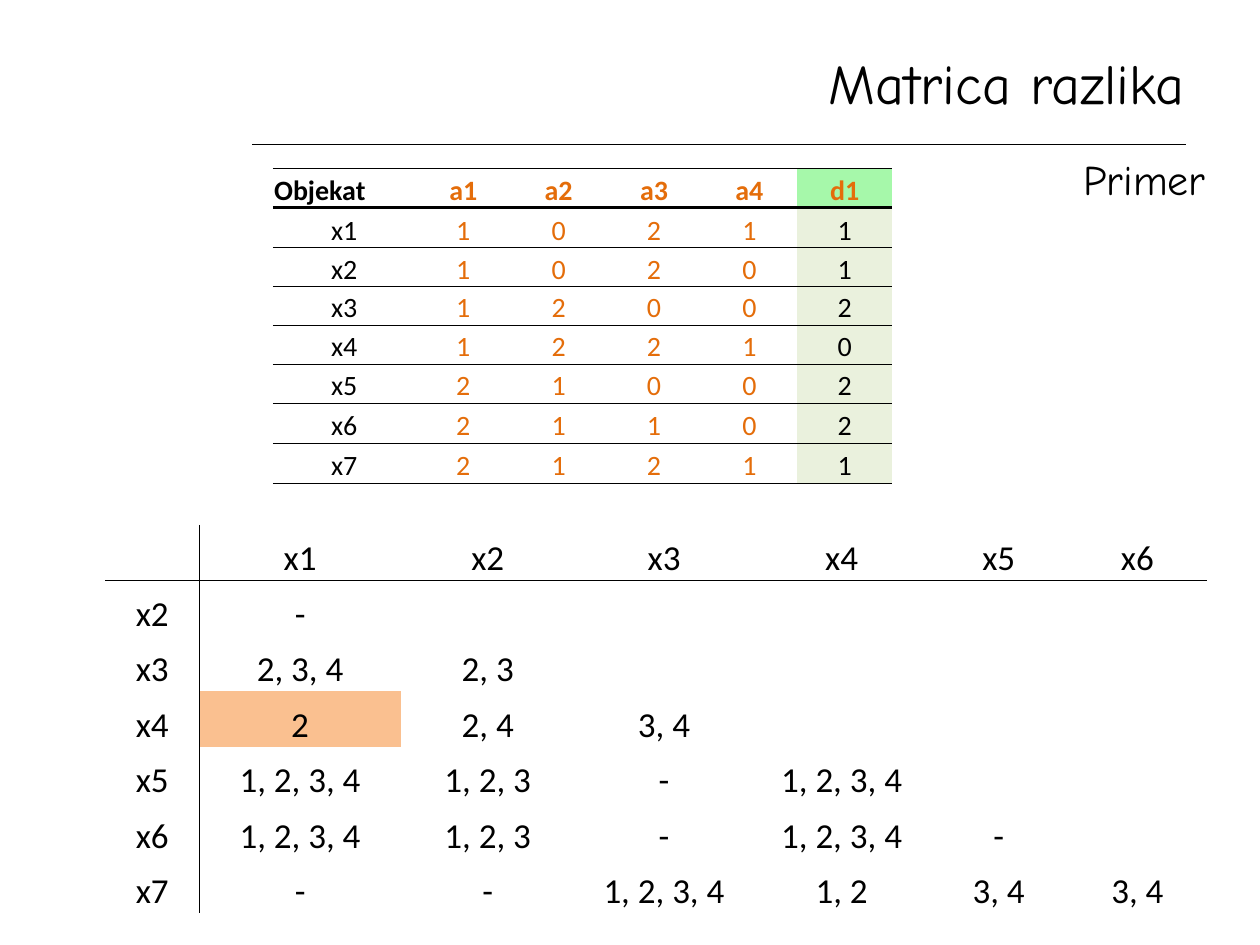
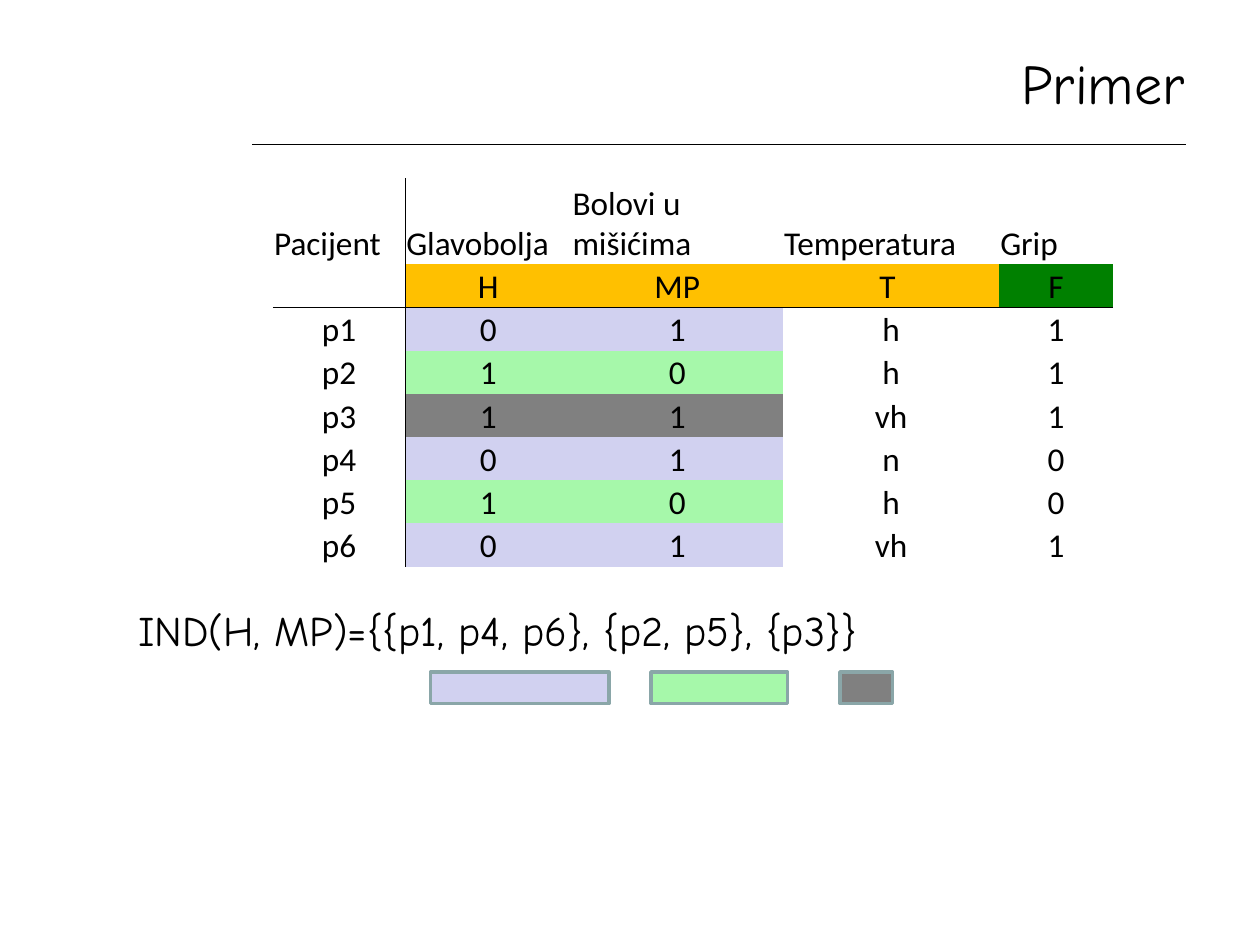
from dataclasses import dataclass

from lxml.etree import SubElement
from pptx import Presentation
from pptx.dml.color import RGBColor
from pptx.enum.shapes import MSO_CONNECTOR, MSO_SHAPE
from pptx.enum.text import MSO_ANCHOR, PP_ALIGN
from pptx.oxml.ns import qn
from pptx.util import Pt

OBJECTS = [
    ["Objekat", "a1", "a2", "a3", "a4", "d1"],
    ["x1", "1", "0", "2", "1", "1"],
    ["x2", "1", "0", "2", "0", "1"],
    ["x3", "1", "2", "0", "0", "2"],
    ["x4", "1", "2", "2", "1", "0"],
    ["x5", "2", "1", "0", "0", "2"],
    ["x6", "2", "1", "1", "0", "2"],
    ["x7", "2", "1", "2", "1", "1"],
]
DIFFERENCES = [
    ["", "x1", "x2", "x3", "x4", "x5", "x6"],
    ["x2", "-", "", "", "", "", ""],
    ["x3", "2, 3, 4", "2, 3", "", "", "", ""],
    ["x4", "2", "2, 4", "3, 4", "", "", ""],
    ["x5", "1, 2, 3, 4", "1, 2, 3", "-", "1, 2, 3, 4", "", ""],
    ["x6", "1, 2, 3, 4", "1, 2, 3", "-", "1, 2, 3, 4", "-", ""],
    ["x7", "-", "-", "1, 2, 3, 4", "1, 2", "3, 4", "3, 4"],
]
HIGHLIGHTED_DIFFERENCE = (3, 1)
PATIENTS = [
    ["Pacijent", "Glavobolja", "Bolovi u mišićima", "Temperatura", "Grip"],
    ["", "H", "MP", "T ", "F"],
    ["p1", "0", "1", "h", "1"],
    ["p2", "1", "0", "h", "1"],
    ["p3", "1", "1", "vh", "1"],
    ["p4", "0", "1", "n", "0"],
    ["p5", "1", "0", "h", "0"],
    ["p6", "0", "1", "vh", "1"],
]
INDISCERNIBILITY = "IND(H, MP)={{p1, p4, p6}, {p2, p5}, {p3}}"


@dataclass(frozen=True)
class Theme:
    hand: str = "Comic Neue"
    plain: str = "Calibri"
    ink: str = "000000"
    attribute: str = "E46D0A"
    decision_head: str = "A6F8AA"
    decision: str = "EAF1DD"
    highlight: str = "FAC090"
    symptom_code: str = "FFC000"
    flu_code: str = "008000"
    key_outline: str = "8AA6A8"
    title: int = 32
    body: int = 24
    matrix: int = 20
    patient: int = 19
    object: int = 16
    thin: float = 0.5
    thick: float = 2
    title_rule: float = 0.75


THEME = Theme()
CLASS_COLOURS = {("0", "1"): "D1D1F0", ("1", "0"): "A6F8AA", ("1", "1"): "808080"}
CLASS_KEYS = zip(CLASS_COLOURS.values(), [(246, 102), (372, 78), (480, 30)])
NO_GRID_STYLE = "{2D5ABB26-0587-4C30-8999-92F81FD0307C}"


def write(frame, text, *, size, font=THEME.plain, colour=THEME.ink, bold=False,
          align=PP_ALIGN.LEFT, anchor=MSO_ANCHOR.TOP):
    frame.word_wrap = True
    frame.vertical_anchor = anchor
    line = frame.paragraphs[0]
    line.alignment = align
    line.font.size = Pt(size)
    if text:
        run = line.add_run()
        run.text = text
        run.font.name = font
        run.font.size = Pt(size)
        run.font.bold = bold
        run.font.color.rgb = RGBColor.from_string(colour)


def add_text(slide, text, box, **style):
    frame = slide.shapes.add_textbox(*map(Pt, box)).text_frame
    write(frame, text, font=THEME.hand, **style)


def start_slide(deck, title):
    slide = deck.slides.add_slide(deck.slide_layouts[6])
    rule = slide.shapes.add_connector(
        MSO_CONNECTOR.STRAIGHT, Pt(144), Pt(82.5), Pt(677.5), Pt(82.5))
    rule.line.color.rgb = RGBColor.from_string(THEME.ink)
    rule.line.width = Pt(THEME.title_rule)
    SubElement(rule._element.spPr, qn("a:effectLst"))
    add_text(slide, title, (144, 20, 540, 54), size=THEME.title,
             align=PP_ALIGN.RIGHT, anchor=MSO_ANCHOR.MIDDLE)
    return slide


def draw_borders(cell, widths):
    properties = cell._tc.get_or_add_tcPr()
    for side in "LRTB":
        width = widths.get(side, 0)
        border = SubElement(properties, qn(f"a:ln{side}"), w=str(Pt(width)))
        if width:
            solid = SubElement(border, qn("a:solidFill"))
            SubElement(solid, qn("a:srgbClr"), val=THEME.ink)
        else:
            SubElement(border, qn("a:noFill"))


def add_grid(slide, content, corner, widths, heights, *, size, borders, fill, text_style):
    grid = slide.shapes.add_table(
        len(content), len(widths), *map(Pt, (*corner, sum(widths), sum(heights)))).table
    grid.first_row = grid.horz_banding = False
    grid._tbl.tblPr.find(qn("a:tableStyleId")).text = NO_GRID_STYLE
    for column, width in zip(grid.columns, widths):
        column.width = Pt(width)
    for r, (entries, height) in enumerate(zip(content, heights)):
        grid.rows[r].height = Pt(height)
        for c, entry in enumerate(entries):
            cell = grid.cell(r, c)
            cell.margin_left = cell.margin_right = cell.margin_top = Pt(0.7)
            cell.margin_bottom = 0
            cell.vertical_anchor = MSO_ANCHOR.BOTTOM
            draw_borders(cell, borders(r, c))
            colour = fill(r, c)
            if colour:
                cell.fill.solid()
                cell.fill.fore_color.rgb = RGBColor.from_string(colour)
            else:
                cell.fill.background()
            write(cell.text_frame, entry, size=size, anchor=MSO_ANCHOR.BOTTOM,
                  **text_style(r, c))


def object_borders(r, c):
    return {"T": THEME.thick if r == 1 else THEME.thin,
            "B": THEME.thick if r == 0 else THEME.thin}


def object_fill(r, c):
    if c == 5:
        return THEME.decision if r else THEME.decision_head


def object_text(r, c):
    is_attribute = 1 <= c <= 4 or (r, c) == (0, 5)
    return {"bold": r == 0,
            "colour": THEME.attribute if is_attribute else THEME.ink,
            "align": PP_ALIGN.CENTER if r or c else PP_ALIGN.LEFT}


def crossed_borders(last_head):
    def borders(r, c):
        edges = {"R": c == 0, "L": c == 1, "B": r == last_head, "T": r == last_head + 1}
        return {side: THEME.thin for side, drawn in edges.items() if drawn}
    return borders


def difference_fill(r, c):
    return THEME.highlight if (r, c) == HIGHLIGHTED_DIFFERENCE else None


def patient_fill(r, c):
    if r == 1 and c:
        return THEME.flu_code if c == 4 else THEME.symptom_code
    if r > 1 and c in (1, 2):
        return CLASS_COLOURS[tuple(PATIENTS[r][1:3])]


def centred(r, c):
    return {"align": PP_ALIGN.CENTER}


def patient_text(r, c):
    return {"align": PP_ALIGN.CENTER if r else PP_ALIGN.LEFT}


def build_matrix_slide(deck):
    slide = start_slide(deck, "Matrica razlika")
    add_text(slide, "Primer", (498, 84, 198, 36), size=THEME.body,
             align=PP_ALIGN.RIGHT, anchor=MSO_ANCHOR.MIDDLE)
    add_grid(slide, OBJECTS, (156, 96), [81.5] + [54.5] * 5,
             [22.8] * 2 + [22.2] * 4 + [22.8] * 2, size=THEME.object,
             borders=object_borders, fill=object_fill, text_style=object_text)
    add_grid(slide, DIFFERENCES, (60, 300), [54, 115, 99.5, 102, 101, 78.5, 80],
             [31.7] * 7, size=THEME.matrix, borders=crossed_borders(0),
             fill=difference_fill, text_style=centred)


def build_patient_slide(deck):
    slide = start_slide(deck, "Primer")
    add_grid(slide, PATIENTS, (156, 102), [75.5, 95, 121, 123.5, 65],
             [49] + [24.7] * 7, size=THEME.patient, borders=crossed_borders(1),
             fill=patient_fill, text_style=patient_text)
    add_text(slide, INDISCERNIBILITY, (72, 342, 605.5, 54), size=THEME.body)
    for colour, (left, width) in CLASS_KEYS:
        key = slide.shapes.add_shape(
            MSO_SHAPE.RECTANGLE, Pt(left), Pt(384), Pt(width), Pt(18))
        key.shadow.inherit = False
        key.fill.solid()
        key.fill.fore_color.rgb = RGBColor.from_string(colour)
        key.line.color.rgb = RGBColor.from_string(THEME.key_outline)
        key.line.width = Pt(THEME.thick)


def main():
    deck = Presentation()
    deck.slide_width, deck.slide_height = Pt(720), Pt(540)
    build_matrix_slide(deck)
    build_patient_slide(deck)
    deck.save("out.pptx")


if __name__ == "__main__":
    main()
